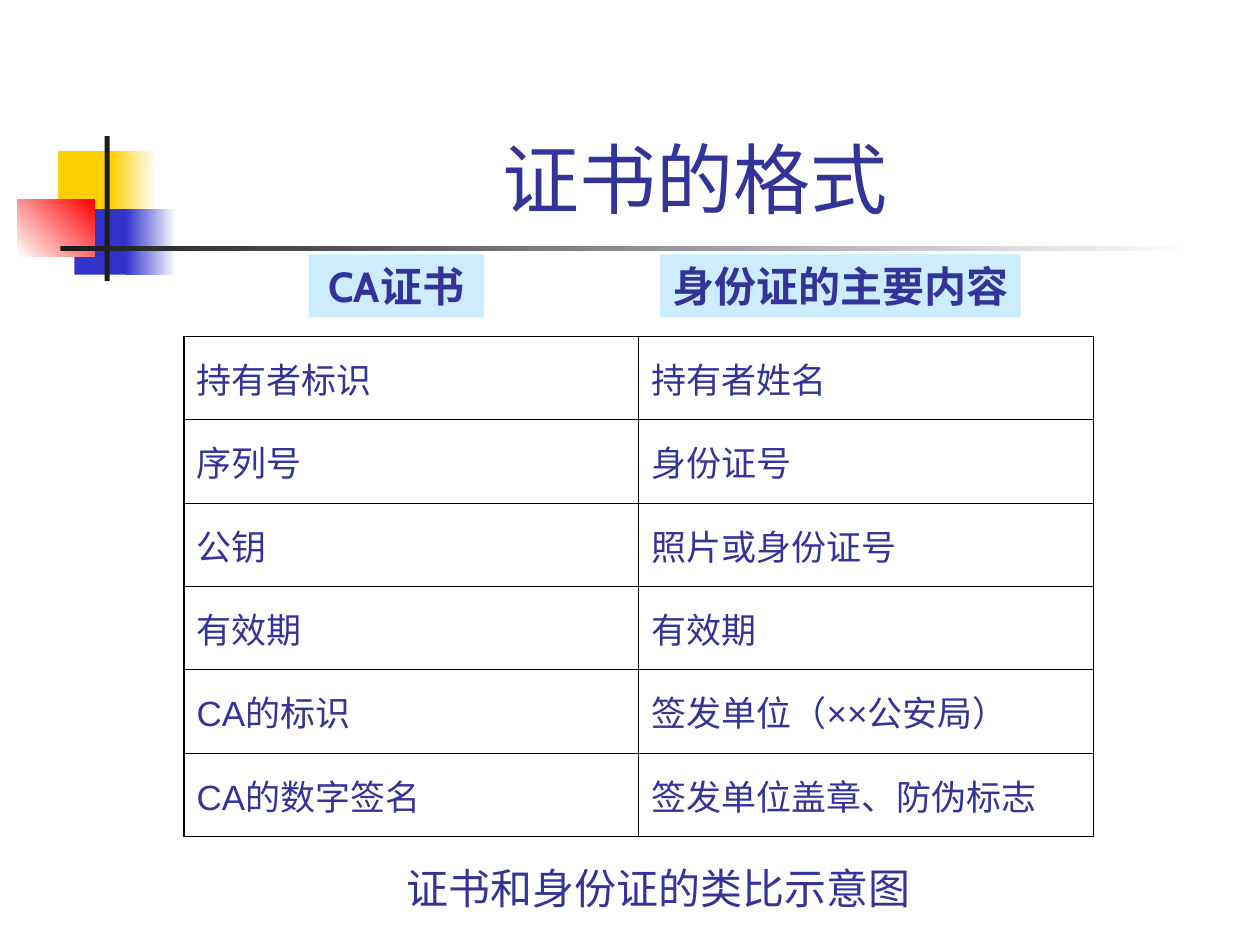
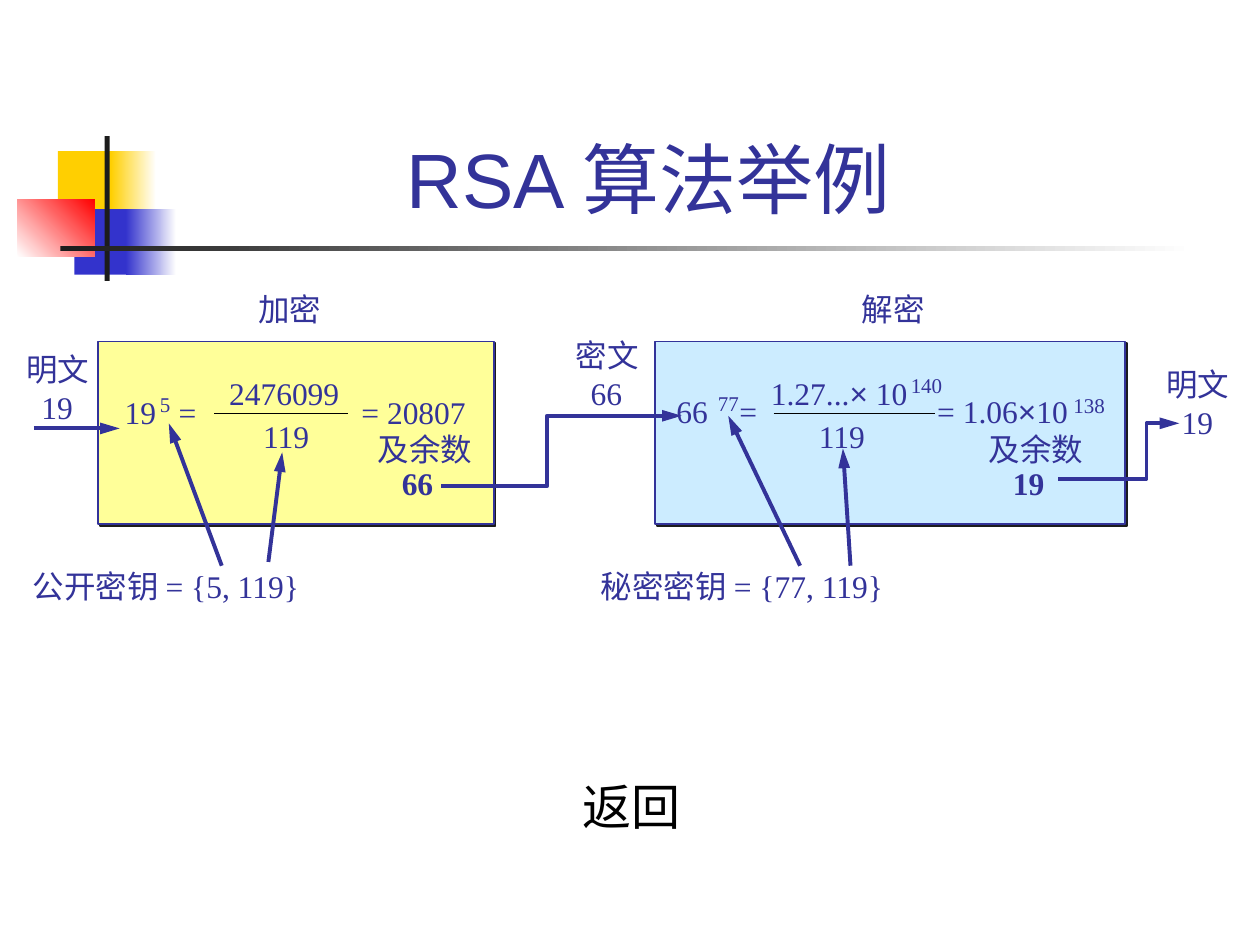
from itertools import groupby

from lxml.etree import SubElement
from pptx import Presentation
from pptx.dml.color import RGBColor
from pptx.enum.shapes import MSO_CONNECTOR, MSO_SHAPE
from pptx.enum.text import MSO_ANCHOR, MSO_AUTO_SIZE, PP_ALIGN
from pptx.oxml.ns import qn
from pptx.util import Inches, Pt

NAVY = RGBColor(0x33, 0x33, 0x99)
BLUE = RGBColor(0x33, 0x33, 0xCC)
GOLD = RGBColor(0xFF, 0xCF, 0x01)
RED = RGBColor(0xFF, 0x00, 0x00)
INK = RGBColor(0x1C, 0x1C, 0x1C)
BLACK = RGBColor(0, 0, 0)
WHITE = RGBColor(0xFF, 0xFF, 0xFF)
SKY = RGBColor(0xCC, 0xEC, 0xFF)
LEMON = RGBColor(0xFF, 0xFF, 0x99)

TITLE = dict(name="Arial", size=44, color=NAVY)
CELL = dict(name="Arial", size=20, color=NAVY)
CAPTION = dict(name="Cabin", size=24, color=NAVY)
HEADING = dict(CAPTION, bold=True)
BODY = dict(name="Times New Roman", size=18, color=NAVY)
STRONG = dict(BODY, bold=True)
POWER = dict(BODY, size=12)
RETURN = dict(name="Cabin", size=28, color=BLACK)

# Shared decoration: box, colour, colour at the end of the fade, angle
DECORATION = [
    ((0.46, 1.2, 0.48, 0.52), GOLD, None, 0),
    ((0.88, 1.2, 0.36, 0.52), GOLD, WHITE, 0),
    ((0.59, 1.66, 0.46, 0.52), BLUE, None, 0),
    ((1, 1.66, 0.4, 0.52), BLUE, WHITE, 0),
    ((0.14, 1.58, 0.61, 0.46), WHITE, RED, 45),
    ((0.83, 1.08, 0.04, 1.15), INK, None, 0),
    ((0.48, 1.95, 9, 0.04), INK, WHITE, 0),
]

# Certificate slide
TABLE_BOX = (1.46, 2.67, 7.22, 3.97)
ROWS = [
    ("持有者标识", "持有者姓名"),
    ("序列号", "身份证号"),
    ("公钥", "照片或身份证号"),
    ("有效期", "有效期"),
    ("CA的标识", "签发单位（××公安局）"),
    ("CA的数字签名", "签发单位盖章、防伪标志"),
]
HEADINGS = [((2.45, 2.02, 1.39, 0.5), "CA证书"),
            ((5.24, 2.02, 2.86, 0.5), "身份证的主要内容")]

# RSA slide
PANELS = [((5.2, 2.71, 3.73, 1.45), SKY), ((0.78, 2.71, 3.14, 1.45), LEMON)]
LABELS = [
    ((1.95, 2.25, 0.7, 0.4), "加密"),
    ((6.74, 2.25, 0.7, 0.4), "解密"),
    ((0.16, 4.45, 2.38, 0.4), "公开密钥 = {5, 119}"),
    ((4.67, 4.45, 2.51, 0.4), "秘密密钥 = {77, 119}"),
    ((1.72, 2.92, 1.07, 0.4), "2476099"),
    ((6.02, 2.92, 1.33, 0.4), "1.27...× 10"),
    ((1.99, 3.26, 0.57, 0.4), "119"),
    ((6.4, 3.26, 0.57, 0.4), "119"),
]
FORMULAS = [  # box, text, tab stops
    ((0.89, 3.07, 2.92, 0.4), "19\t=\t= 20807", (0.43, 1.88)),
    ((5.27, 3.06, 3.37, 0.4), "66\t=\t= 1.06×10", (0.5, 2.07)),
]
POWERS = [((1.17, 3.06, 0.28, 0.3), "5"), ((5.6, 3.05, 0.36, 0.3), "77"),
          ((7.13, 2.91, 0.45, 0.3), "140"), ((8.42, 3.07, 0.45, 0.3), "138")]
MESSAGES = [((0.11, 2.73), "明文", "19"), ((4.47, 2.62), "密文", "66"),
            ((9.16, 2.85), "明文", "19")]
REMAINDERS = [((2.9, 3.4, 0.95, 0.64), "66"), ((7.75, 3.4, 1.07, 0.64), "19")]
ARROWS = [
    ((0.27, 3.4), (0.95, 3.4)),
    ((1.76, 4.49), (1.34, 3.36)),
    ((2.13, 4.46), (2.24, 3.59)),
    ((6.35, 4.49), (5.78, 3.3)),
    ((6.75, 4.49), (6.69, 3.56)),
]
FRACTION_BARS = [((1.7, 3.28), (2.76, 3.28)), ((6.14, 3.28), (7.42, 3.28))]
ELBOWS = [
    [(3.5, 3.86), (4.34, 3.86), (4.34, 3.3), (5.41, 3.3)],
    [(8.4, 3.8), (9.1, 3.8), (9.1, 3.36), (9.36, 3.36)],
]


def inches(values):
    return [Inches(v) for v in values]


def write(p, text, fmt):
    """Add runs, keeping the multiplication sign in Arial."""
    for is_times, chars in groupby(text, lambda c: c == "×"):
        r = p.add_run()
        r.text = "".join(chars)
        for key, value in fmt.items():
            if key == "color":
                r.font.color.rgb = value
            elif key == "size":
                r.font.size = Pt(value)
            else:
                setattr(r.font, key, value)
        if is_times:
            r.font.name = "Arial"


def add_text(s, box, lines, align=PP_ALIGN.LEFT, fill=None, spacing=None, tabs=()):
    """Each line is (text, format, left indent)."""
    sp = s.shapes.add_textbox(*inches(box))
    if fill is not None:
        sp.fill.solid()
        sp.fill.fore_color.rgb = fill
    tf = sp.text_frame
    tf.word_wrap = True
    tf.auto_size = MSO_AUTO_SIZE.NONE
    # Narrow side margins leave each line room to stay whole
    tf.margin_right = Inches(0.02)
    tf.margin_left = Inches(0.02 if align == PP_ALIGN.CENTER else 0.1)
    for i, (text, fmt, indent) in enumerate(lines):
        p = tf.add_paragraph() if i else tf.paragraphs[0]
        p.alignment = align
        p.line_spacing = spacing
        pPr = p._p.get_or_add_pPr()
        if indent:
            pPr.set("marL", str(Inches(indent)))
            pPr.set("indent", "0")
        if tabs:
            tab_list = SubElement(pPr, qn("a:tabLst"))
            for pos in tabs:
                SubElement(tab_list, qn("a:tab"), pos=str(Inches(pos)), algn="l")
        write(p, text, fmt)


def add_rect(s, box, color, fade=None, angle=0):
    sp = s.shapes.add_shape(MSO_SHAPE.RECTANGLE, *inches(box))
    sp.shadow.inherit = False
    sp.line.fill.background()
    if fade is None:
        sp.fill.solid()
        sp.fill.fore_color.rgb = color
    else:
        sp.fill.gradient()
        sp.fill.gradient_angle = angle
        for stop, rgb in zip(sp.fill.gradient_stops, (color, fade)):
            stop.color.rgb = rgb
    return sp


def style_line(sp, color, width, arrow=False):
    sp.line.color.rgb = color
    sp.line.width = Pt(width)
    if arrow:
        SubElement(sp.element.spPr.find(qn("a:ln")), qn("a:tailEnd"),
                   type="triangle", w="med", len="lg")


def add_line(s, start, end, color, width, arrow=False):
    sp = s.shapes.add_connector(MSO_CONNECTOR.STRAIGHT, *inches(start + end))
    style_line(sp, color, width, arrow)
    SubElement(sp.element.spPr, qn("a:effectLst"))


def add_elbow(s, points):
    points = [inches(pt) for pt in points]
    builder = s.shapes.build_freeform(*points[0])
    builder.add_line_segments(points[1:], close=False)
    sp = builder.convert_to_shape()
    sp.fill.background()
    sp.shadow.inherit = False
    style_line(sp, NAVY, 2.25, arrow=True)


def add_panel(s, box, color):
    sp = add_rect(s, box, color)
    style_line(sp, NAVY, 1)
    shadow = SubElement(sp.element.spPr.find(qn("a:effectLst")), qn("a:outerShdw"),
                        dist=str(Pt(1.4)), dir="2700000", algn="ctr", rotWithShape="0")
    SubElement(shadow, qn("a:srgbClr"), val=str(INK))


def border_cell(cell, widths):
    tcPr = cell._tc.get_or_add_tcPr()
    for i, (side, width) in enumerate(widths.items()):
        ln = tcPr.makeelement(qn(f"a:ln{side}"), w=str(Pt(width)))
        fill = SubElement(ln, qn("a:solidFill"))
        SubElement(fill, qn("a:srgbClr"), val=str(BLACK))
        tcPr.insert(i, ln)


def add_comparison(s):
    n_rows, n_cols = len(ROWS), len(ROWS[0])
    table = s.shapes.add_table(n_rows, n_cols, *inches(TABLE_BOX)).table
    table.first_row = table.horz_banding = False
    for i, row in enumerate(ROWS):
        for j, text in enumerate(row):
            cell = table.cell(i, j)
            cell.fill.background()
            cell.vertical_anchor = MSO_ANCHOR.MIDDLE
            p = cell.text_frame.paragraphs[0]
            p.space_before = Pt(5)
            write(p, text, CELL)
            outer = dict(L=j == 0, R=j == n_cols - 1, T=i == 0, B=i == n_rows - 1)
            border_cell(cell, {k: 1.08 if edge else 0.45 for k, edge in outer.items()})


def new_slide(prs, title, width):
    s = prs.slides.add_slide(prs.slide_layouts[6])
    for part in DECORATION:
        add_rect(s, *part)
    tf = s.shapes.add_textbox(*inches((1.26, 0.23, width, 1.6))).text_frame
    tf.word_wrap = True
    tf.vertical_anchor = MSO_ANCHOR.BOTTOM
    p = tf.paragraphs[0]
    p.alignment = PP_ALIGN.CENTER
    write(p, title, TITLE)
    return s


def certificate_slide(prs):
    s = new_slide(prs, "证书的格式", 8.52)
    add_comparison(s)
    for box, text in HEADINGS:
        add_text(s, box, [(text, HEADING, 0)], PP_ALIGN.CENTER, SKY)
    add_text(s, (3.13, 6.8, 4.2, 0.5), [("证书和身份证的类比示意图", CAPTION, 0)],
             PP_ALIGN.CENTER)


def rsa_slide(prs):
    s = new_slide(prs, "RSA 算法举例 ", 7.91)
    for box, color in PANELS:
        add_panel(s, box, color)
    # Text
    for box, text in LABELS:
        add_text(s, box, [(text, BODY, 0)])
    for box, text, tabs in FORMULAS:
        add_text(s, box, [(text, BODY, 0)], tabs=tabs)
    for box, text in POWERS:
        add_text(s, box, [(text, POWER, 0)])
    for corner, name, number in MESSAGES:
        add_text(s, corner + (0.7, 0.7), [(name, BODY, 0), (number, BODY, 0.12)])
    for box, number in REMAINDERS:
        add_text(s, box, [("及余数", BODY, 0), (number, STRONG, 0.19)], spacing=0.9)
    # Lines and arrows
    for start, end in FRACTION_BARS:
        add_line(s, start, end, BLACK, 0.75)
    for start, end in ARROWS:
        add_line(s, start, end, NAVY, 2.25, arrow=True)
    for points in ELBOWS:
        add_elbow(s, points)
    add_text(s, (4.53, 6.11, 0.97, 0.57), [("返回", RETURN, 0)], PP_ALIGN.CENTER)


def main():
    prs = Presentation()
    prs.slide_width, prs.slide_height = Inches(10), Inches(7.5)
    certificate_slide(prs)
    rsa_slide(prs)
    prs.save("out.pptx")


if __name__ == "__main__":
    main()
